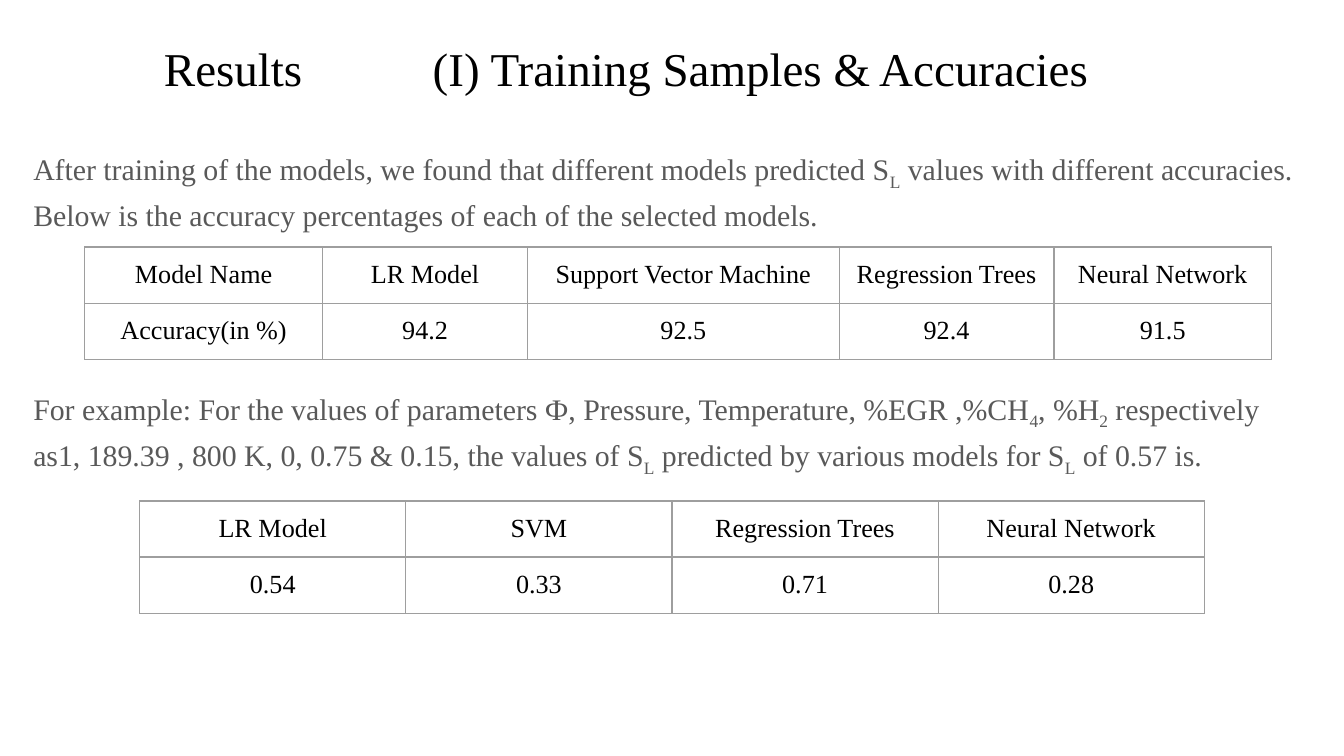
from lxml.etree import SubElement as Sub
from pptx import Presentation as Deck
from pptx.dml.color import RGBColor as Rgb
from pptx.enum.text import MSO_ANCHOR as Anchor, MSO_AUTO_SIZE as Auto, PP_ALIGN as Align
from pptx.oxml.ns import qn
from pptx.util import Cm, Pt


def paint(fill, tint):
    fill.solid()
    fill.fore_color.rgb = Rgb.from_string(tint)


def apply(item, form):
    for name, value in form.items():
        setattr(item, name, value)


class Page:
    face = "Times New Roman"
    black, grey, rule = "000000", "595959", "9E9E9E"
    pad = {f"margin_{side}": Cm(0.25) for side in ("left", "right", "top", "bottom")}
    frame = {**pad, "word_wrap": True, "auto_size": Auto.NONE}

    def __init__(self, deck):
        self.slide = deck.slides.add_slide(deck.slide_layouts[5])
        paint(self.slide.background.fill, "FFFFFF")

    def label(self, para, text, size, tint, form):
        apply(para, form)
        for spot, part in enumerate(text.split("|")):
            run = para.add_run()
            run.text = part
            apply(run.font, {"name": self.face, "size": Pt(size)})
            paint(run.font.fill, tint)
            if spot % 2:
                run._r.get_or_add_rPr().set("baseline", "-25000")

    def title(self, text, left, top, width, height):
        shape = self.slide.shapes.title
        apply(shape, {"left": Cm(left), "top": Cm(top), "width": Cm(width), "height": Cm(height)})
        apply(shape.text_frame, {**self.frame, "vertical_anchor": Anchor.MIDDLE})
        self.label(shape.text_frame.paragraphs[0], text, 25.2, self.black,
                   {"alignment": Align.CENTER})

    def body(self, texts, gap, left, top, width, height):
        box = self.slide.shapes.add_textbox(Cm(left), Cm(top), Cm(width), Cm(height))
        frame = box.text_frame
        apply(frame, {**self.frame, "vertical_anchor": Anchor.TOP})
        for spot, text in enumerate(texts):
            para = frame.add_paragraph() if spot else frame.paragraphs[0]
            self.label(para, text, 16, self.grey,
                       {"line_spacing": 1.15, "space_before": Pt(gap * spot)})

    def border(self, cell):
        props = cell._tc.get_or_add_tcPr()
        for side in ("lnL", "lnR", "lnT", "lnB"):
            line = Sub(props, qn(f"a:{side}"), w=str(Pt(0.75)))
            fill = Sub(line, qn("a:solidFill"))
            Sub(fill, qn("a:srgbClr"), val=self.rule)

    def table(self, rows, widths, left, top, height=1.06):
        shape = self.slide.shapes.add_table(
            len(rows), len(widths), Cm(left), Cm(top),
            Cm(sum(widths)), Cm(height * len(rows)))
        grid = shape.table
        apply(grid, {"first_row": False, "horz_banding": False})
        for col, width in zip(grid.columns, widths):
            col.width = Cm(width)
        for row, texts in zip(grid.rows, rows):
            row.height = Cm(height)
            for cell, text in zip(row.cells, texts):
                apply(cell, self.pad)
                self.border(cell)
                cell.fill.background()
                self.label(cell.text_frame.paragraphs[0], text, 14, self.black,
                           {"alignment": Align.CENTER})


def main():
    deck = Deck()
    apply(deck, {"slide_width": Cm(25.4), "slide_height": Cm(14.29)})
    page = Page(deck)
    page.title("Results \t\t(I) Training Samples & Accuracies", 0, 0.48, 23.67, 1.6)
    page.body([
        "After training of the models, we found that different models predicted S|L| values "
        "with different accuracies. Below is the accuracy percentages of each of the "
        "selected models.",
        "For example: For the values of parameters Ф, Pressure, Temperature, %EGR ,%CH|4|, "
        "%H|2| respectively as1, 189.39 , 800 K, 0, 0.75 & 0.15, the values of S|L| predicted "
        "by various models for S|L| of 0.57 is.",
    ], 81, 0.38, 2.49, 24.61, 10.95)
    page.table([
        ["Model Name", "LR Model", "Support Vector Machine", "Regression Trees", "Neural Network"],
        ["Accuracy(in %)", "94.2", "92.5", "92.4", "91.5"],
    ], [4.5, 3.87, 5.89, 4.06, 4.11], 1.6, 4.67)
    page.table([
        ["LR Model", "SVM", "Regression Trees", "Neural Network"],
        ["0.54", "0.33", "0.71", "0.28"],
    ], [5.03] * 4, 2.64, 9.47)
    deck.save("out.pptx")


if __name__ == "__main__":
    main()
